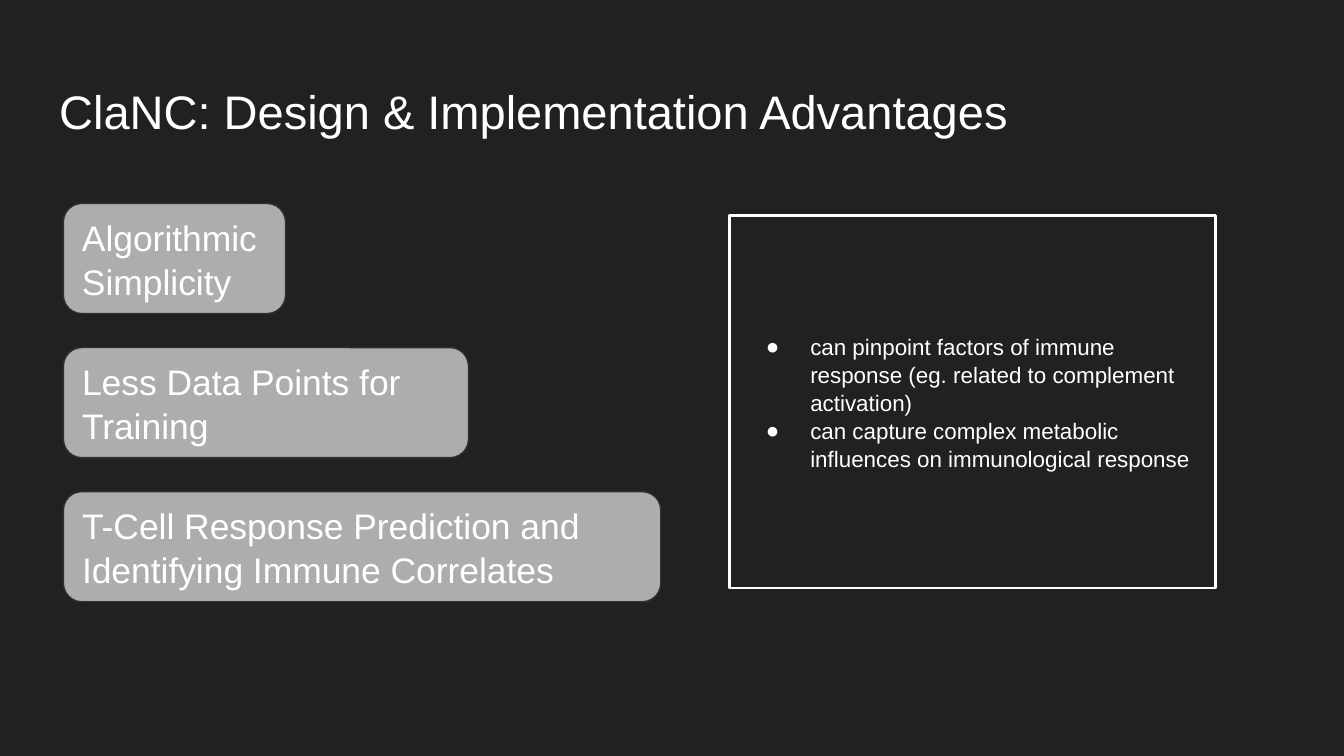
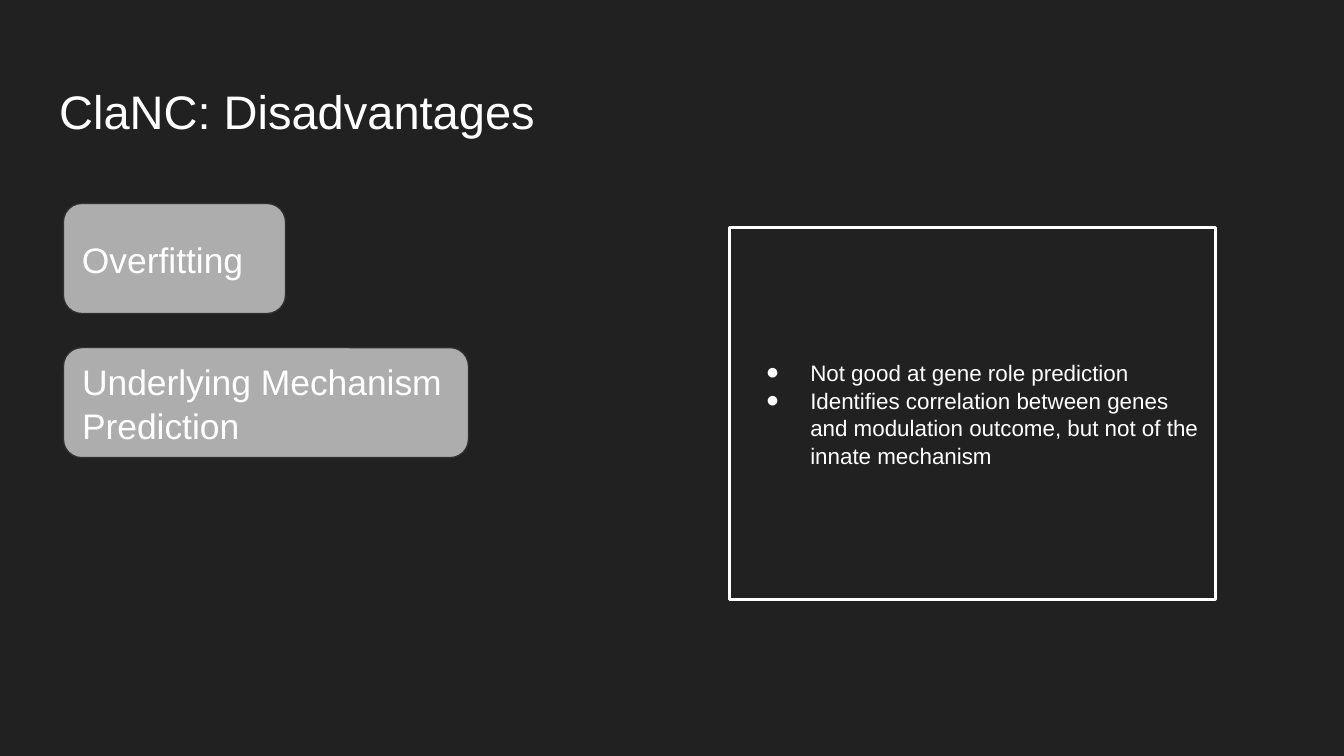
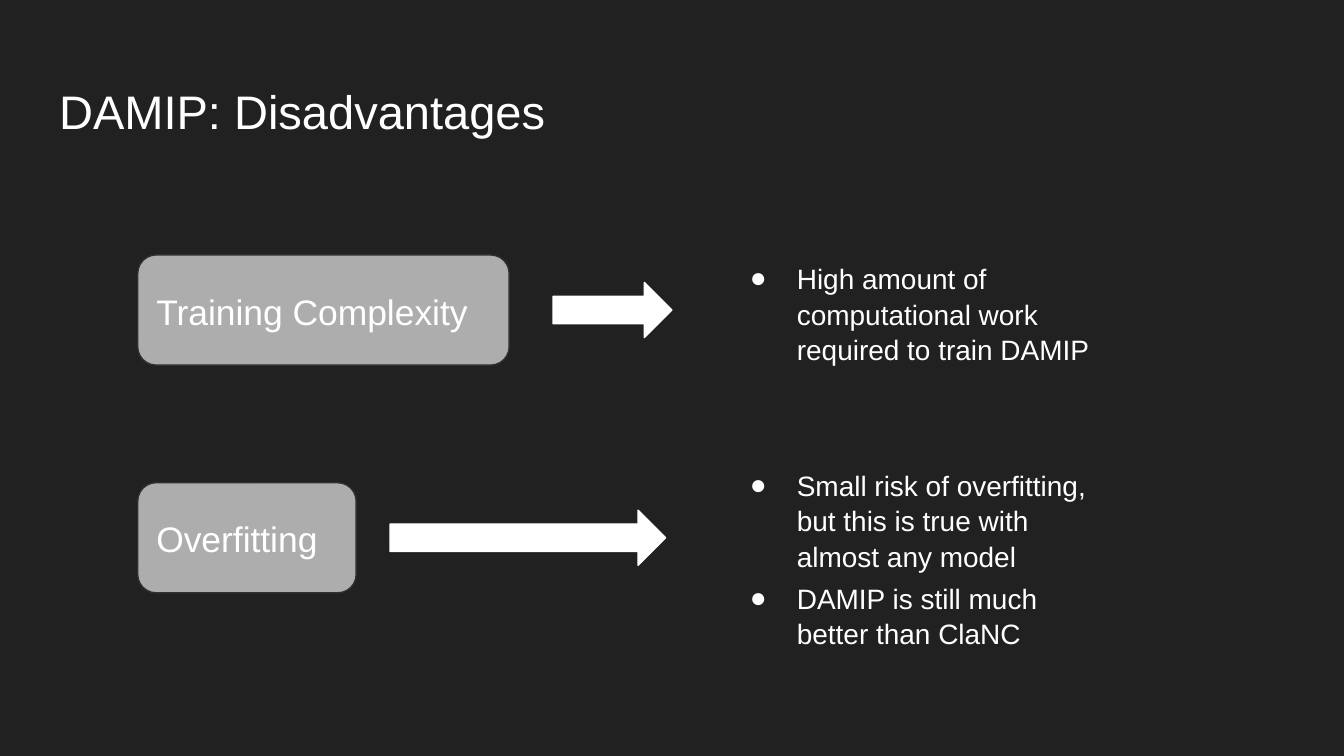
"""Build three slides on the advantages and disadvantages of ClaNC and DAMIP."""
from dataclasses import dataclass

from lxml import etree
from pptx import Presentation
from pptx.dml.color import RGBColor
from pptx.enum import shapes, text
from pptx.oxml import ns
from pptx.util import Pt


@dataclass(frozen=True)
class Theme:
    background: RGBColor = RGBColor(0x21, 0x21, 0x21)
    white: RGBColor = RGBColor(0xFF, 0xFF, 0xFF)
    label_fill: RGBColor = RGBColor(0xAD, 0xAD, 0xAD)
    label_line: RGBColor = RGBColor(0x30, 0x30, 0x30)
    font: str = "Arial"
    title_size: float = 25.2
    label_size: float = 19
    frame_size: float = 12
    note_size: float = 15


theme = Theme()
MIDDLE = text.MSO_ANCHOR.MIDDLE
TOP = text.MSO_ANCHOR.TOP


def write_text(shape, lines, size, anchor, spacing, hanging=0):
    """Fill a shape with paragraphs, bulleted when a hanging indent is given."""
    frame = shape.text_frame
    frame_format = {
        "word_wrap": True, "auto_size": text.MSO_AUTO_SIZE.NONE, "vertical_anchor": anchor,
        "margin_left": Pt(7.2), "margin_right": Pt(7.2),
        "margin_top": Pt(7.2), "margin_bottom": Pt(7.2),
    }
    for name, value in frame_format.items():
        setattr(frame, name, value)
    frame.text = "\n".join(lines)
    for paragraph in frame.paragraphs:
        if hanging:
            properties = paragraph._p.get_or_add_pPr()
            properties.set("marL", str(Pt(36)))
            properties.set("indent", str(-Pt(hanging)))
            color = etree.SubElement(properties, ns.qn("a:buClr"))
            etree.SubElement(color, ns.qn("a:srgbClr"), val=str(theme.white))
            etree.SubElement(properties, ns.qn("a:buFont"), typeface=theme.font)
            etree.SubElement(properties, ns.qn("a:buChar"), char="●")
        paragraph.alignment = text.PP_ALIGN.LEFT
        paragraph.line_spacing = spacing
        for run in paragraph.runs:
            for name, value in {"name": theme.font, "size": Pt(size)}.items():
                setattr(run.font, name, value)
            run.font.color.rgb = theme.white


def add_box(slide, kind, place, fill, line, line_width=0.75):
    """Add a flat preset shape at left, top, width, height in points."""
    shape = slide.shapes.add_shape(kind, *map(Pt, place))
    shape.shadow.inherit = False
    shape.fill.solid()
    shape.fill.fore_color.rgb = fill
    shape.line.color.rgb = line
    shape.line.width = Pt(line_width)
    return shape


label_height, arrow_height = 59, 29.5
label_left, label_top, label_pitch = 34, 109, 77.2
label_widths = [119, 217, 320]

slides = [
    {
        "title": "ClaNC: Design & Implementation Advantages",
        "labels": [
            "Algorithmic Simplicity",
            "Less Data Points for Training",
            "T-Cell Response Prediction and Identifying Immune Correlates",
        ],
        "frame_top": 115.6,
        "points": [
            "can pinpoint factors of immune response (eg. related to complement activation)",
            "can capture complex metabolic influences on immunological response",
        ],
    },
    {
        "title": "ClaNC: Disadvantages",
        "labels": ["Overfitting", "Underlying Mechanism Prediction"],
        "frame_top": 121.8,
        "points": [
            "Not good at gene role prediction",
            "Identifies correlation between genes and modulation outcome, "
            "but not of the innate mechanism",
        ],
    },
    {
        "title": "DAMIP: Disadvantages",
        "label_places": [(73.8, 136.6, 199), (73.8, 258.6, 117)],
        "labels": ["Training Complexity", "Overfitting"],
        "arrows": [(296.3, 63.7), (209, 147.6)],
        "notes": [
            (131.8, 69, "High amount of computational work required to train DAMIP"),
            (242.6, 69, "Small risk of overfitting, but this is true with almost any model"),
            (303.1, 51, "DAMIP is still much better than ClaNC"),
        ],
    },
]

presentation = Presentation()
presentation.slide_width, presentation.slide_height = Pt(720), Pt(405)
background = presentation.slide_master.background.fill
background.solid()
background.fore_color.rgb = theme.background
title_only = presentation.slide_layouts[5]
label_grid = [
    (label_left, label_top + row * label_pitch, width) for row, width in enumerate(label_widths)
]

for content in slides:
    slide = presentation.slides.add_slide(title_only)
    title = slide.shapes.title
    title_place = {"left": 24.5, "top": 35.4, "width": 671, "height": 45.1}
    for name, value in title_place.items():
        setattr(title, name, Pt(value))
    write_text(title, [content["title"]], theme.title_size, TOP, 1.06)

    places = content.get("label_places", label_grid)
    for (left, top, width), caption in zip(places, content["labels"]):
        label = add_box(slide, shapes.MSO_SHAPE.ROUNDED_RECTANGLE,
                        (left, top, width, label_height), theme.label_fill, theme.label_line)
        label.adjustments[0] = 0.167
        write_text(label, [caption], theme.label_size, MIDDLE, 1.04)

    if "points" in content:
        frame = add_box(slide, shapes.MSO_SHAPE.RECTANGLE, (391, content["frame_top"], 260, 199.5),
                        theme.background, theme.white, 1.5)
        write_text(frame, content["points"], theme.frame_size, MIDDLE, 1.04, 23.8)

    for (left, width), (_, label_y, _) in zip(content.get("arrows", []), places):
        top = label_y + (label_height - arrow_height) / 2
        add_box(slide, shapes.MSO_SHAPE.RIGHT_ARROW, (left, top, width, arrow_height),
                theme.white, theme.white)

    for top, height, note in content.get("notes", []):
        box = slide.shapes.add_textbox(Pt(383.8), Pt(top), Pt(213.8), Pt(height))
        write_text(box, [note], theme.note_size, TOP, 1.06, 25.2)

presentation.save("out.pptx")
